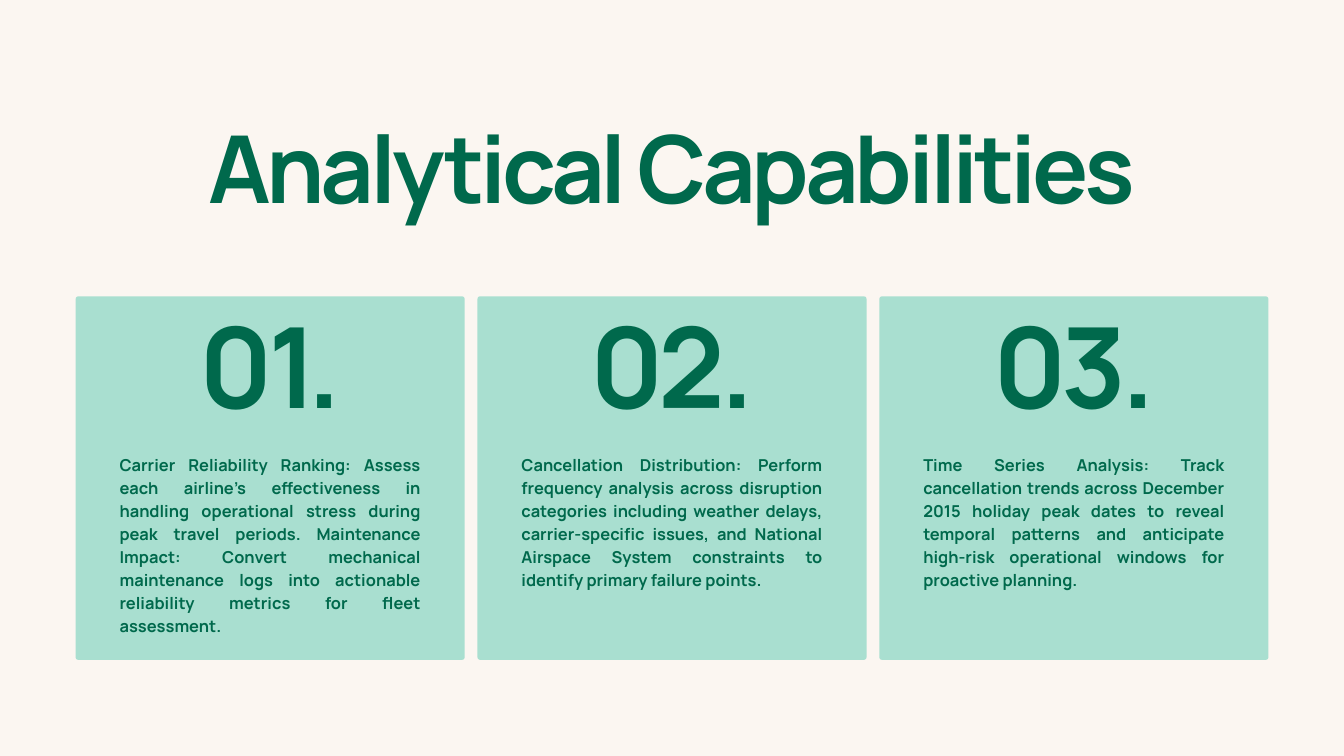
import pptx
import pptx.dml.color
import pptx.enum.shapes
import pptx.enum.text
import pptx.util

RGBColor = pptx.dml.color.RGBColor
Align = pptx.enum.text.PP_ALIGN
Inches, Pt = pptx.util.Inches, pptx.util.Pt

CREAM = RGBColor(0xFB, 0xF6, 0xF1)
MINT = RGBColor(0xA9, 0xDF, 0xD0)
GREEN = RGBColor(0x00, 0x69, 0x4C)
FONT = "Manrope"

WIDTH, HEIGHT = 20, 11.25
CARD_LEFT, CARD_TOP = 1.125, 4.41
CARD_WIDTH, CARD_HEIGHT = 5.79, 5.41
CARD_PITCH = 5.98
CORNER_RADIUS = 0.04

CARDS = [
    ("01.", "Carrier Reliability Ranking: Assess each airline's effectiveness in handling "
            "operational stress during peak travel periods. Maintenance Impact: Convert "
            "mechanical maintenance logs into actionable reliability metrics for fleet "
            "assessment."),
    ("02.", "Cancellation Distribution: Perform frequency analysis across disruption "
            "categories including weather delays, carrier-specific issues, and National "
            "Airspace System constraints to identify primary failure points."),
    ("03.", "Time Series Analysis: Track cancellation trends across December 2015 holiday "
            "peak dates to reveal temporal patterns and anticipate high-risk operational "
            "windows for proactive planning."),
]


def share_of(box, left, top, width, height):
    """Return the part of a box given as shares of its width and height."""
    box_left, box_top, box_width, box_height = box
    return (box_left + left * box_width, box_top + top * box_height,
            width * box_width, height * box_height)


def add_text(slide, box, text, *, size, line, align=Align.CENTER, tracking=0):
    shape = slide.shapes.add_textbox(*map(Inches, box))
    frame = shape.text_frame
    frame.word_wrap = True
    frame.auto_size = pptx.enum.text.MSO_AUTO_SIZE.SHAPE_TO_FIT_TEXT
    frame.margin_left = frame.margin_top = frame.margin_right = frame.margin_bottom = 0
    paragraph = frame.paragraphs[0]
    paragraph.alignment = align
    paragraph.line_spacing = Pt(line)
    run = paragraph.add_run()
    run.text = text
    run.font.name = FONT
    run.font.size = Pt(size)
    run.font.bold = True
    run.font.color.rgb = GREEN
    if tracking:
        run.font._element.set("spc", str(round(tracking * 100)))


def add_title(slide, box):
    add_text(slide, share_of(box, 0.121, 0.182, 0.7575, 0.122), "Analytical Capabilities",
             size=100.3, line=90.3, tracking=-4.6)


def add_card(slide, box, number, description):
    card = slide.shapes.add_shape(
        pptx.enum.shapes.MSO_SHAPE.ROUNDED_RECTANGLE, *map(Inches, box))
    card.adjustments[0] = CORNER_RADIUS / min(box[2:])
    card.shadow.inherit = False
    card.fill.solid()
    card.fill.fore_color.rgb = MINT
    card.line.fill.background()
    add_text(slide, share_of(box, 0.272, 0.092, 0.458, 0.298), number,
             size=119.9, line=107.9, tracking=-5.5)
    add_text(slide, share_of(box, 0.113, 0.429, 0.774, 0.43), description,
             size=17.6, line=24.6, align=Align.JUSTIFY)


def main():
    presentation = pptx.Presentation()
    presentation.slide_width = Inches(WIDTH)
    presentation.slide_height = Inches(HEIGHT)
    slide = presentation.slides.add_slide(presentation.slide_layouts[6])
    slide.background.fill.solid()
    slide.background.fill.fore_color.rgb = CREAM

    add_title(slide, (0, 0, WIDTH, HEIGHT))
    for column, (number, description) in enumerate(CARDS):
        box = (CARD_LEFT + column * CARD_PITCH, CARD_TOP, CARD_WIDTH, CARD_HEIGHT)
        add_card(slide, box, number, description)

    presentation.save("out.pptx")


if __name__ == "__main__":
    main()
